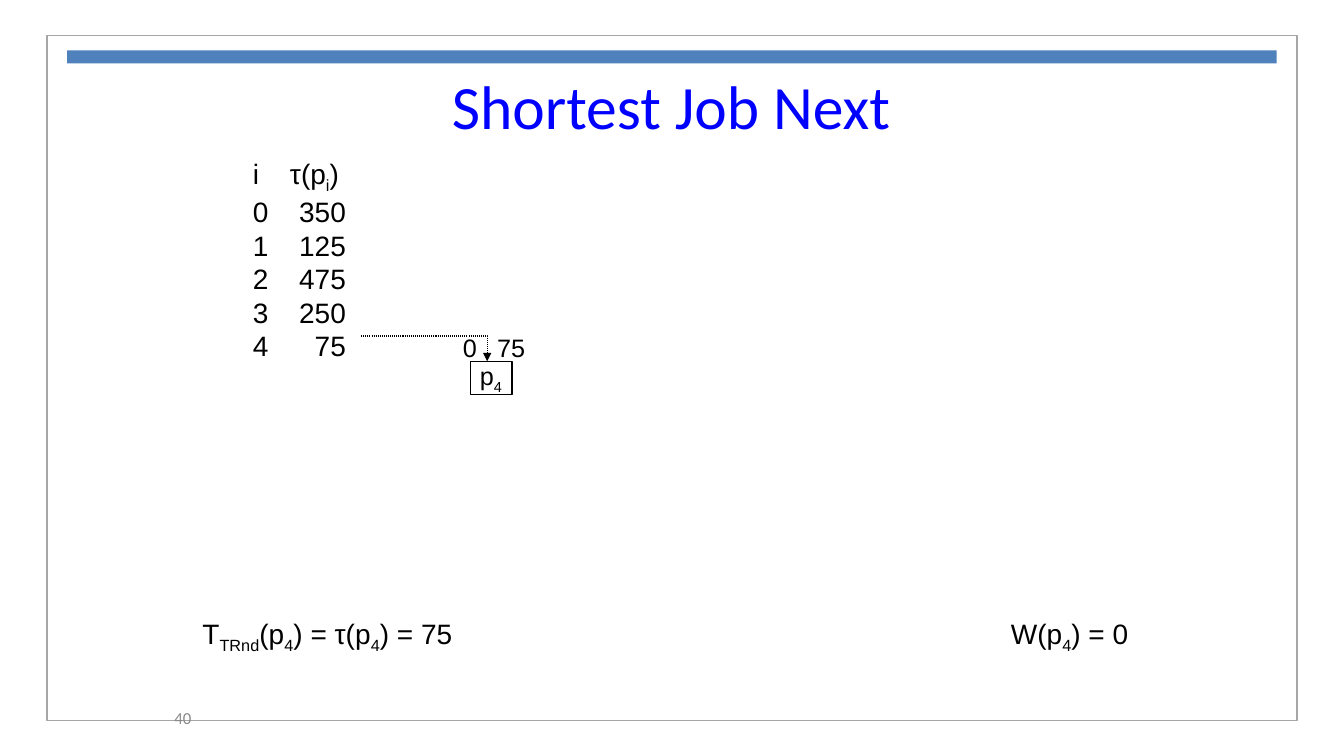
import dataclasses

import pptx
import pptx.dml.color
import pptx.enum.dml
import pptx.enum.shapes
import pptx.enum.text
import pptx.oxml.ns
import pptx.util
from lxml import etree

Pt = pptx.util.Pt
Align = pptx.enum.text.PP_ALIGN
Anchor = pptx.enum.text.MSO_ANCHOR


@dataclasses.dataclass(frozen=True)
class Theme:
    paper: str = "FFFFFF"
    ink: str = "000000"
    title: str = "0000FF"
    bar: str = "4F81BD"
    frame: str = "A6A6A6"
    number: str = "898989"
    heading_font: str = "Calibri"
    body_font: str = "Arial"
    title_size: int = 44
    body_size: int = 20
    label_size: int = 18
    number_size: int = 12


THEME = Theme()
JOBS = [350, 125, 475, 250, 75]


def color(value):
    return pptx.dml.color.RGBColor.from_string(value)


def add_spans(para, markup, size, ink=THEME.ink, font=THEME.body_font):
    """Fill a paragraph; every second part between underscores is a subscript."""
    for index, text in enumerate(markup.split("_")):
        if not text:
            continue
        span = para.add_run()
        span.text = text
        span.font.size = Pt(size)
        span.font.name = font
        span.font.color.rgb = color(ink)
        if index % 2:
            span._r.get_or_add_rPr().set("baseline", "-25000")


def add_text(page, box, markup, size, align=Align.LEFT, anchor=Anchor.TOP,
             wrap=False, **style):
    shape = page.shapes.add_textbox(*map(Pt, box))
    frame = shape.text_frame
    frame.word_wrap = wrap
    frame.vertical_anchor = anchor
    frame.paragraphs[0].alignment = align
    add_spans(frame.paragraphs[0], markup, size, **style)
    return shape


def add_rectangle(page, box, fill=None, line=None, width=1):
    kind = pptx.enum.shapes.MSO_SHAPE.RECTANGLE
    shape = page.shapes.add_shape(kind, *map(Pt, box))
    shape.shadow.inherit = False
    if fill:
        shape.fill.solid()
        shape.fill.fore_color.rgb = color(fill)
    else:
        shape.fill.background()
    if line:
        shape.line.color.rgb = color(line)
        shape.line.width = Pt(width)
    else:
        shape.line.fill.background()
    return shape


def add_page_frame(page, box):
    left, top, width, height = box
    add_rectangle(page, box, line=THEME.frame)
    add_rectangle(page, (left + 14.4, top + 10.8, width - 28.8, 9.4), fill=THEME.bar)
    add_text(page, (left + 6.5, top + 473, 103.7, 28.8), "40", THEME.number_size,
             Align.RIGHT, Anchor.MIDDLE, True,
             ink=THEME.number, font=THEME.heading_font)


def add_title(page, box):
    add_text(page, box, "Shortest Job Next", THEME.title_size, Align.CENTER,
             Anchor.MIDDLE, True, ink=THEME.title, font=THEME.heading_font)


def add_tab(para, position, align):
    properties = para._p.get_or_add_pPr()
    tabs = etree.SubElement(properties, pptx.oxml.ns.qn("a:tabLst"))
    etree.SubElement(tabs, pptx.oxml.ns.qn("a:tab"), pos=str(Pt(position)), algn=align)


def add_job_list(page, box):
    shape = add_text(page, box, "i\tτ(p_i_)", THEME.body_size, wrap=True)
    frame = shape.text_frame
    add_tab(frame.paragraphs[0], 26.5, "l")
    for job, service_time in enumerate(JOBS):
        para = frame.add_paragraph()
        add_tab(para, 66.5, "r")
        add_spans(para, f"{job}\t{service_time}", THEME.body_size)


def add_schedule(page, box):
    """Draw the scheduled job, its start and end times and the arrow to it."""
    left, top, width, height = box
    job = add_rectangle(page, box, THEME.paper, THEME.ink, 0.75)
    frame = job.text_frame
    frame.word_wrap = False
    frame.vertical_anchor = Anchor.MIDDLE
    frame.paragraphs[0].alignment = Align.CENTER
    add_spans(frame.paragraphs[0], "p_4_", THEME.label_size)

    middle = left + 12.2
    add_text(page, (middle, top - 24, 34.6, 28.8), "75", THEME.label_size)
    add_text(page, (middle - 24.5, top - 24, 24.5, 28.8), "0", THEME.label_size)

    bend = top - 18
    builder = page.shapes.build_freeform(Pt(middle - 90), Pt(bend))
    builder.add_line_segments([(Pt(middle), Pt(bend)), (Pt(middle), Pt(top))],
                              close=False)
    arrow = builder.convert_to_shape()
    arrow.shadow.inherit = False
    arrow.fill.background()
    arrow.line.color.rgb = color(THEME.ink)
    arrow.line.width = Pt(0.75)
    arrow.line.dash_style = pptx.enum.dml.MSO_LINE.ROUND_DOT
    etree.SubElement(arrow.line._get_or_add_ln(), pptx.oxml.ns.qn("a:tailEnd"),
                     type="triangle")


def add_formula(page, box, markup):
    add_text(page, box, markup, THEME.body_size, anchor=Anchor.BOTTOM)


def main():
    deck = pptx.Presentation()
    deck.slide_width, deck.slide_height = Pt(960), Pt(540)
    page = deck.slides.add_slide(deck.slide_layouts[6])
    add_page_frame(page, (33.6, 25.2, 892.8, 489.6))
    add_title(page, (173.5, 48, 612, 54))
    add_job_list(page, (173.5, 108, 81.5, 152.6))
    add_schedule(page, (335.8, 258, 30, 23.8))
    add_formula(page, (137.5, 438, 201, 33), "T_TRnd_(p_4_) = τ(p_4_) = 75")
    add_formula(page, (715, 438, 100, 33), "W(p_4_) = 0")
    deck.save("out.pptx")


if __name__ == "__main__":
    main()
